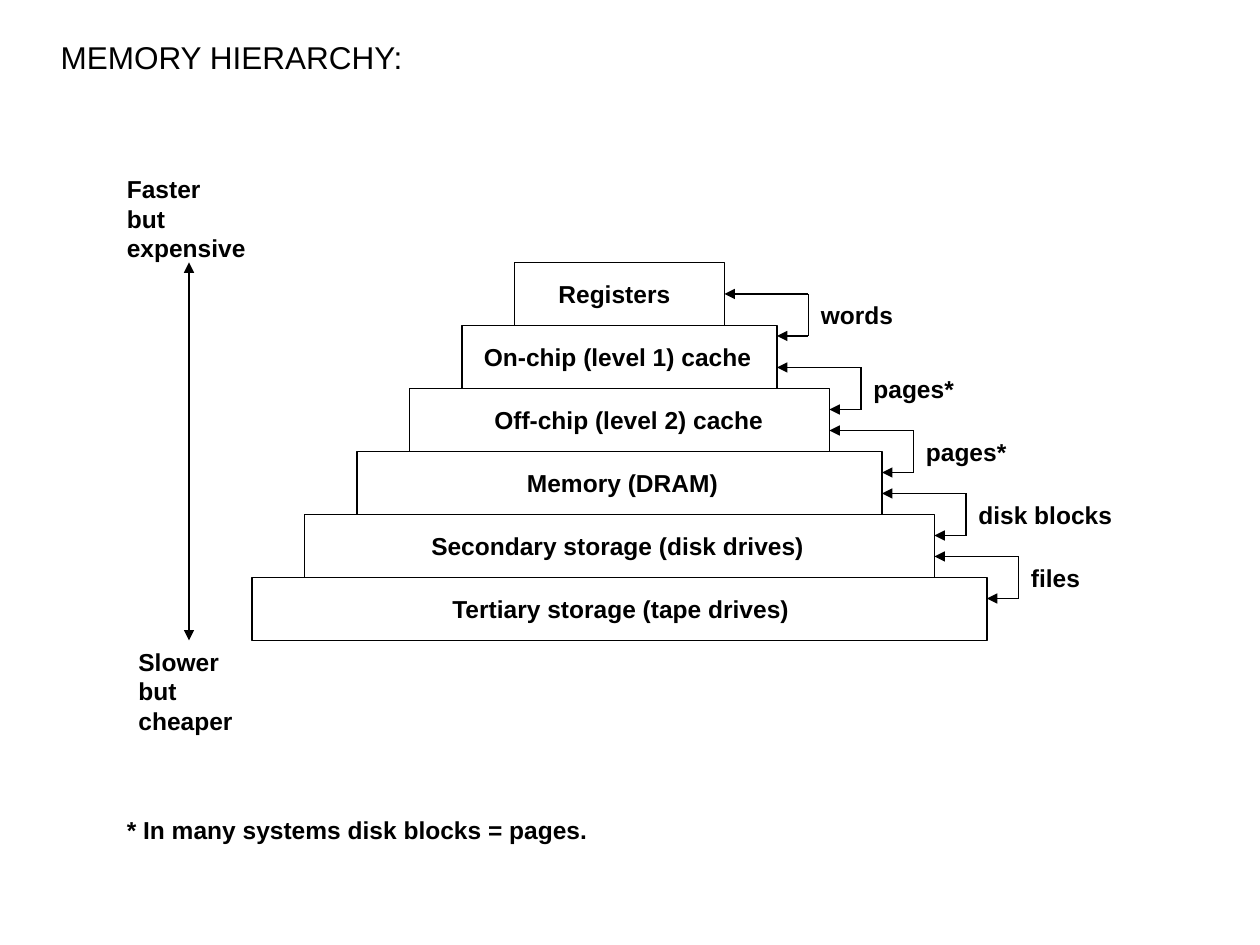
from lxml.etree import SubElement
from pptx import Presentation
from pptx.dml.color import RGBColor
from pptx.enum.shapes import MSO_CONNECTOR as Conn, MSO_SHAPE as Shape
from pptx.enum.text import MSO_AUTO_SIZE as AutoSize
from pptx.oxml.ns import qn
from pptx.util import Inches, Pt

COLS_PER_INCH = 12
BLACK = "000000"
BODY = {"name": "Arial", "size": Pt(14), "bold": True}
TITLE = {"name": "Arial", "size": Pt(18), "bold": False}
TIERS = [
    ("Registers", 52, 13.3),
    ("On-chip (level 1) cache", 44.9, 28.2),
    ("Off-chip (level 2) cache", 45.9, 28.3),
    ("Memory (DRAM)", 49, 20.9),
    ("Secondary storage (disk drives)", 39.9, 38.2),
    ("Tertiary storage (tape drives)", 41.9, 35),
]
TRANSFERS = [("words", 9.5), ("pages*", 10.4), ("pages*", 10.4),
             ("disk blocks", 15.5), ("files", 7.4)]
NOTES = [
    (["Faster", "but", "expensive"], 10.9, 16, 14, 9.6),
    (["Slower", "but", "cheaper"], 12, 61, 11.7, 9.6),
    (["* In many systems disk blocks = pages."], 10.9, 77, 46.6, 4.1),
]


def grid(*cells):
    """Turn columns or rows of the grid into lengths."""
    return [Inches(c / COLS_PER_INCH) for c in cells]


def color(hex_code):
    """Turn a hex string into a colour."""
    return RGBColor.from_string(hex_code)


def style_line(line):
    """Make a line thin and black."""
    line.color.rgb = color(BLACK)
    line.width = Pt(0.75)


def add_text(s, lines, left, top, width, height=4.1, fmt=BODY):
    """Add a text box with one paragraph per line."""
    tf = s.shapes.add_textbox(*grid(left, top, width, height)).text_frame
    tf.word_wrap = False
    tf.auto_size = AutoSize.SHAPE_TO_FIT_TEXT
    for i, line in enumerate(lines):
        p = tf.add_paragraph() if i else tf.paragraphs[0]
        r = p.add_run()
        r.text = line
        r.font.color.rgb = color(BLACK)
        for key, value in fmt.items():
            setattr(r.font, key, value)


def add_box(s, left, top, width, height):
    """Add an unfilled outlined rectangle."""
    sp = s.shapes.add_shape(Shape.RECTANGLE, *grid(left, top, width, height))
    sp.shadow.inherit = False
    sp.fill.background()
    style_line(sp.line)
    return sp


def add_line(s, start, end, heads=()):
    """Add a straight connector with arrowheads at the named ends."""
    cxn = s.shapes.add_connector(Conn.STRAIGHT, *grid(*start, *end))
    style_line(cxn.line)
    ln = cxn.line._get_or_add_ln()
    for head in heads:
        SubElement(ln, qn(f"a:{head}"), type="triangle")
    SubElement(cxn._element.spPr, qn("a:effectLst"))
    return cxn


def add_transfer(s, i, boxes):
    """Add the bracket that links a tier to the one below it."""
    right, elbow = 69 + 5 * i, 77 + 5 * i
    top = 29 + 6 * i if i else 28
    bottom = top + 4
    add_line(s, (right + 5, bottom), (elbow, bottom), ["headEnd"])
    add_line(s, (elbow, bottom), (elbow, top))
    upper = add_line(s, (elbow, top), (right, top), ["tailEnd"])
    if i == 0:
        upper.end_connect(boxes[i], 3)


def main():
    """Build the memory hierarchy slide."""
    prs = Presentation()
    prs.slide_width, prs.slide_height = grid(120, 90)
    s = prs.slides.add_slide(prs.slide_layouts[6])
    add_text(s, ["MEMORY HIERARCHY:"], 4.6, 3, 35.5, 4.8, TITLE)
    for i, (name, left, width) in enumerate(TIERS):
        add_text(s, [name], left, 26 + 6 * i, width)
    boxes = [add_box(s, 49 - 5 * i, 25 + 6 * i, 20 + 10 * i, 6)
             for i in range(len(TIERS))]
    for note in NOTES:
        add_text(s, *note)
    add_line(s, (18, 25), (18, 61), ["headEnd", "tailEnd"])
    for i, (unit, width) in enumerate(TRANSFERS):
        add_text(s, [unit], 77 + 5 * i, 29 + 6 * i if i else 28, width)
        add_transfer(s, i, boxes)
    prs.save("out.pptx")


if __name__ == "__main__":
    main()
